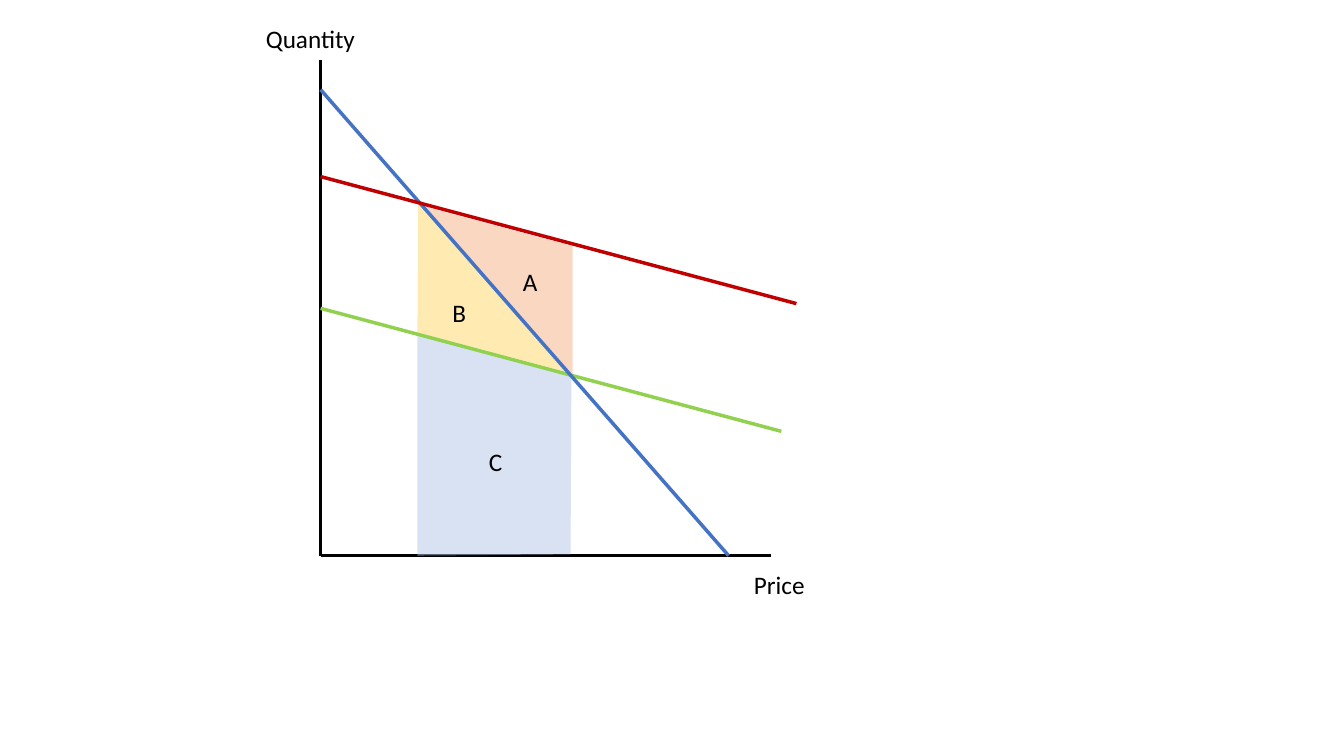
from dataclasses import dataclass

from lxml import etree
from pptx import Presentation
from pptx.dml.color import RGBColor
from pptx.enum.shapes import MSO_CONNECTOR
from pptx.enum.text import MSO_AUTO_SIZE
from pptx.oxml.ns import qn
from pptx.util import Cm, Pt

STRAIGHT = MSO_CONNECTOR.STRAIGHT
FIT_SHAPE = MSO_AUTO_SIZE.SHAPE_TO_FIT_TEXT
BLANK_LAYOUT = 6


@dataclass(frozen=True)
class Theme:
    font: str = "Calibri"
    label_size: float = 18
    axis_width: float = 2
    curve_width: float = 2.5
    region_opacity: int = 50
    ink: str = "000000"
    orange: str = "F4B183"
    yellow: str = "FFD966"
    pale_blue: str = "B4C7E7"
    green: str = "92D050"
    blue: str = "4472C4"
    red: str = "C00000"


THEME = Theme()

# Chart frame and shared corners, in centimetres
AXIS_X, AXIS_Y = 8.08, 14
AXIS_TOP, AXIS_RIGHT = 1.5, 19.43
REGION_LEFT = 10.52
LABEL_HEIGHT = 1.02


def add_label(slide, text, left, top, width, wrap=False):
    box = slide.shapes.add_textbox(Cm(left), Cm(top), Cm(width), Cm(LABEL_HEIGHT))
    frame = box.text_frame
    frame.word_wrap = wrap
    frame.auto_size = FIT_SHAPE
    paragraph = frame.paragraphs[0]
    paragraph.text = text
    paragraph.font.name = THEME.font
    paragraph.font.size = Pt(THEME.label_size)
    paragraph.font.color.rgb = RGBColor.from_string(THEME.ink)


def add_line(slide, start, end, color, width):
    line = slide.shapes.add_connector(
        STRAIGHT, *(Cm(length) for length in (*start, *end))
    )
    line.line.color.rgb = RGBColor.from_string(color)
    line.line.width = Pt(width)
    etree.SubElement(line._element.spPr, qn("a:effectLst"))


def add_region(slide, corners, color):
    """Draw a closed, half-transparent polygon through the corners."""
    first, *others = [(Cm(x), Cm(y)) for x, y in corners]
    builder = slide.shapes.build_freeform(*first)
    builder.add_line_segments(others, close=True)
    region = builder.convert_to_shape()
    region.shadow.inherit = False
    region.line.fill.background()
    region.fill.solid()
    region.fill.fore_color.rgb = RGBColor.from_string(color)
    color_element = region._element.spPr.find(qn("a:solidFill"))[0]
    alpha = etree.SubElement(color_element, qn("a:alpha"))
    alpha.set("val", str(THEME.region_opacity * 1000))


def main():
    presentation = Presentation()
    presentation.slide_width = Cm(33.87)
    presentation.slide_height = Cm(19.05)
    slide = presentation.slides.add_slide(presentation.slide_layouts[BLANK_LAYOUT])

    add_label(slide, "Price", 18.75, 14.22, 5.11, wrap=True)
    add_label(slide, "Quantity", 6.45, 0.46, 4.6, wrap=True)

    origin = (AXIS_X, AXIS_Y)
    for axis_end in ((AXIS_RIGHT, AXIS_Y), (AXIS_X, AXIS_TOP)):
        add_line(slide, origin, axis_end, THEME.ink, THEME.axis_width)

    regions = [
        ([(14.43, 9.47), (14.43, 6.2), (10.69, 5.21)], THEME.orange),
        ([(10.54, 5.11), (REGION_LEFT, 8.38), (14.25, 9.37)], THEME.yellow),
        (
            [(14.4, 9.47), (REGION_LEFT, 8.41), (REGION_LEFT, AXIS_Y), (14.38, 13.97)],
            THEME.pale_blue,
        ),
    ]
    for corners, color in regions:
        add_region(slide, corners, color)

    curves = [
        (7.77, (19.69, 10.87), THEME.green),
        (2.26, (18.36, AXIS_Y), THEME.blue),
        (4.45, (20.07, 7.65), THEME.red),
    ]
    for start_y, end, color in curves:
        add_line(slide, (AXIS_X, start_y), end, color, THEME.curve_width)

    add_label(slide, "A", 12.93, 6.58, 0.89)
    add_label(slide, "B", 11.15, 7.37, 0.86)
    add_label(slide, "C", 12.07, 11.13, 0.86)

    presentation.save("out.pptx")


if __name__ == "__main__":
    main()
